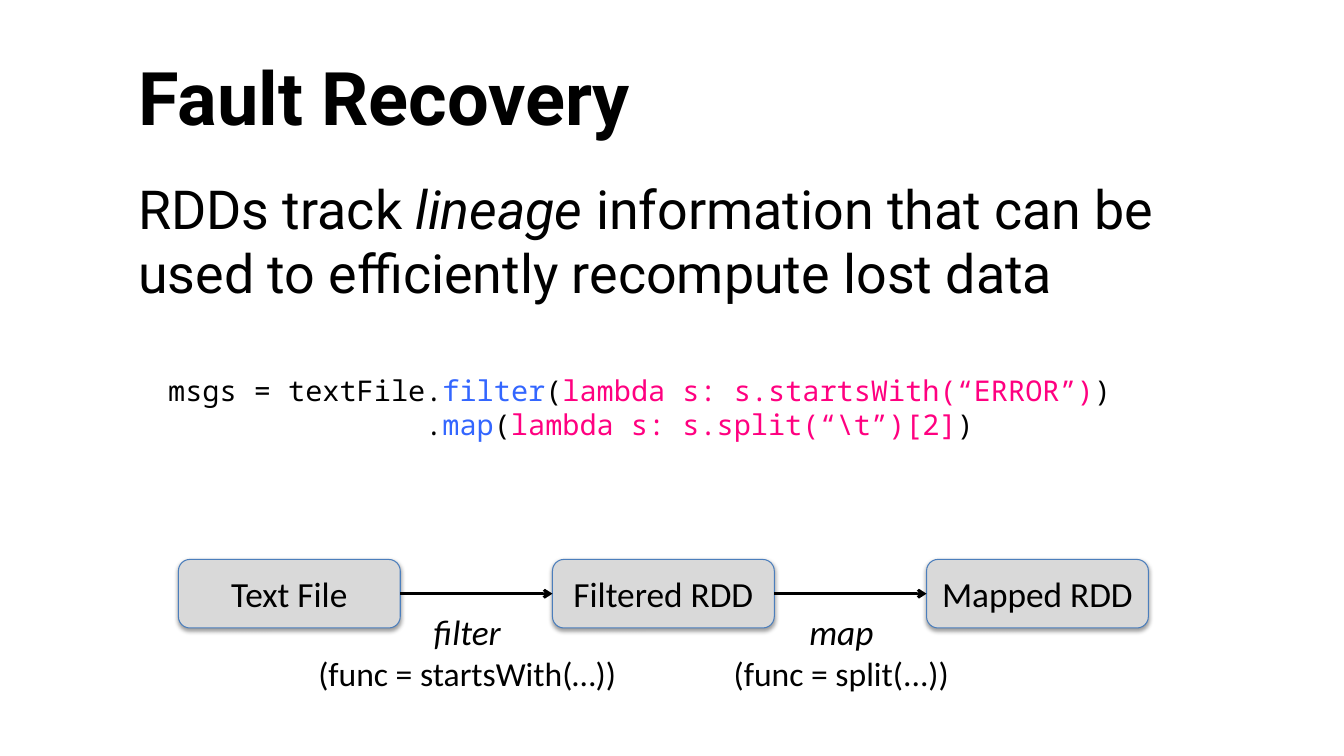
"""Build the Fault Recovery slide."""
from lxml import etree
from pptx import Presentation, util as u
from pptx.dml import color as col
from pptx.enum import shapes as es, text as et
from pptx.oxml import ns


def rgb(code):
    """Turn a hex string into a colour."""
    return col.RGBColor.from_string(code)


def put(node, tag, **attrs):
    """Append a drawing element and return it."""
    return etree.SubElement(node, ns.qn(tag), {k: str(v) for k, v in attrs.items()})


class Deck:
    """Hold the style and the current slide."""

    ink, blue, pink, gray, edge = "000000", "3366FF", "FF0080", "D9D9D9", "4B7EBC"
    head = dict(name="Roboto", size=u.Pt(52.8), bold=True)
    lead = dict(name="Roboto", size=u.Pt(38.4), bold=False)
    code = dict(name="Noto Sans Mono", size=u.Pt(20.4))
    node = dict(name="Calibri", size=u.Pt(25.2))
    note = dict(name="Calibri", size=u.Pt(24))

    def __init__(self):
        """Open a wide deck with one title and body slide."""
        self.prs = Presentation()
        self.prs.slide_width, self.prs.slide_height = u.Inches(13.33), u.Inches(7.5)
        self.slide = self.prs.slides.add_slide(self.prs.slide_layouts[1])

    def run(self, para, words, style, tint=ink, **more):
        """Add one formatted run."""
        run = para.add_run()
        run.text = words
        for key, val in {**style, **more}.items():
            setattr(run.font, key, val)
        run.font.color.rgb = rgb(tint)

    def frame(self, shape, **form):
        """Format a text frame and return its first paragraph."""
        base = dict(word_wrap=True, auto_size=et.MSO_AUTO_SIZE.NONE)
        for key, val in {**base, **form}.items():
            setattr(shape.text_frame, key, val)
        return shape.text_frame.paragraphs[0]

    def holder(self, idx, box, **form):
        """Move a placeholder and return its first paragraph."""
        shape = self.slide.placeholders[idx]
        for key, val in zip(("left", "top", "width", "height"), box):
            setattr(shape, key, u.Inches(val))
        para = self.frame(shape, **form)
        para.alignment = et.PP_ALIGN.LEFT
        return para

    def label(self, box, **form):
        """Add a text box and return its frame's first paragraph."""
        shape = self.slide.shapes.add_textbox(*map(u.Inches, box))
        return self.frame(shape, auto_size=et.MSO_AUTO_SIZE.SHAPE_TO_FIT_TEXT, **form)

    def card(self, box, words):
        """Add a rounded box with a soft shadow."""
        kind = es.MSO_SHAPE.ROUNDED_RECTANGLE
        shape = self.slide.shapes.add_shape(kind, *map(u.Inches, box))
        shape.fill.solid()
        shape.fill.fore_color.rgb = rgb(self.gray)
        shape.line.color.rgb = rgb(self.edge)
        shape.line.width = u.Pt(0.75)
        shape.shadow.inherit = False
        glow = put(shape._element.spPr.find(ns.qn("a:effectLst")), "a:outerShdw",
                   blurRad=u.Pt(3.1), dist=u.Pt(1.6), dir=90 * 60000, rotWithShape=0)
        put(put(glow, "a:srgbClr", val=self.ink), "a:alpha", val=38000)
        para = self.frame(shape, margin_left=0, margin_right=0,
                          vertical_anchor=et.MSO_ANCHOR.MIDDLE)
        para.alignment = et.PP_ALIGN.CENTER
        self.run(para, words, self.node)

    def arrow(self, left, right, top):
        """Add a level arrow."""
        ends = map(u.Inches, (left, top, right, top))
        line = self.slide.shapes.add_connector(es.MSO_CONNECTOR.STRAIGHT, *ends)
        line.line.color.rgb = rgb(self.ink)
        line.line.width = u.Pt(2)
        put(line.line._get_or_add_ln(), "a:tailEnd", type="arrow")
        put(line._element.spPr, "a:effectLst")


def main():
    """Draw the slide and save it."""
    deck = Deck()
    title = deck.holder(0, (1.27, 0.33, 10.8, 1.25), vertical_anchor=et.MSO_ANCHOR.MIDDLE)
    deck.run(title, "Fault Recovery", deck.head)

    body = deck.holder(1, (1.27, 1.69, 10.9, 4.56), vertical_anchor=et.MSO_ANCHOR.TOP)
    body.space_before = u.Pt(21.6)
    props = body._p.get_or_add_pPr()
    for key in ("marL", "indent"):
        props.set(key, "0")
    put(props, "a:buNone")
    deck.run(body, "RDDs track ", deck.lead)
    deck.run(body, "lineage", deck.lead, italic=True)
    deck.run(body, " information that can be used to efficiently recompute lost data", deck.lead)

    first = deck.label((1.57, 3.65, 10.17, 0.79))
    after = first._parent.add_paragraph()
    after._p.get_or_add_pPr().set("marL", str(u.Inches(2.55)))
    calls = ((first, "msgs = textFile.", "filter", "lambda s: s.startsWith(“ERROR”)"),
             (after, ".", "map", "lambda s: s.split(“\\t”)[2]"))
    for para, start, verb, func in calls:
        for words, tint in ((start, deck.ink), (verb, deck.blue), ("(", deck.ink),
                            (func, deck.pink), (")", deck.ink)):
            deck.run(para, words, deck.code, tint)

    left, top, wide, high, step = 1.77, 5.55, 2.2, 0.68, 3.71
    for i, words in enumerate(("Text File", "Filtered RDD", "Mapped RDD")):
        deck.card((left + i * step, top, wide, high), words)

    steps = (("filter", "(func = startsWith(…))", 3.24), ("map", "(func = split(...))", 2.38))
    for i, (verb, func, span) in enumerate(steps):
        start, end = left + i * step + wide, left + (i + 1) * step
        deck.arrow(start, end, top + high / 2)
        mid = (start + end) / 2 - 0.09
        para = deck.label((mid - span / 2, 6.01, span, 0.93), word_wrap=False)
        para.alignment = et.PP_ALIGN.CENTER
        deck.run(para, verb, deck.node, italic=True)
        para.add_line_break()
        deck.run(para, func, deck.note)

    deck.prs.save("out.pptx")


if __name__ == "__main__":
    main()
